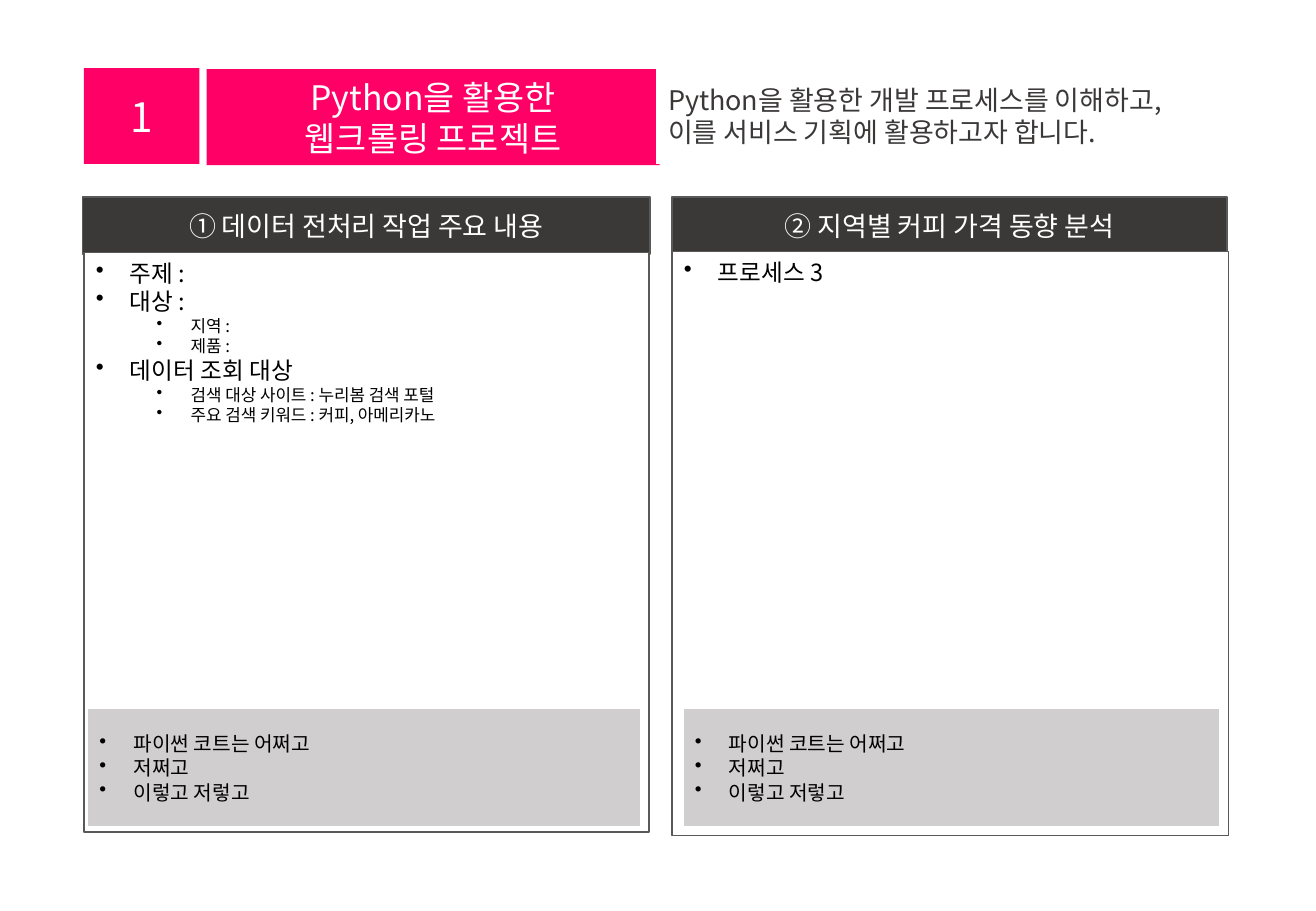
from dataclasses import dataclass

from lxml import etree
from pptx import Presentation
from pptx import util as u
from pptx.dml.color import RGBColor
from pptx.enum import shapes, text
from pptx.oxml.ns import qn


@dataclass(frozen=True)
class Theme:
    """Colours, type sizes and grid measures of the slide."""
    font: str = "Noto Sans CJK KR"
    accent: str = "FF0066"
    dark: str = "3B3838"
    border: str = "595959"
    note: str = "D0CECE"
    white: str = "FFFFFF"
    black: str = "000000"
    number: int = 24
    title: int = 20
    heading: int = 16
    topic: int = 14
    remark: int = 12
    detail: int = 10
    cell: float = 0.1  # inches per grid column and row
    hang: float = 2.8  # columns from bullet to text
    step: float = 5.0  # columns per bullet level


T = Theme()
LEFT, CENTER = text.PP_ALIGN.LEFT, text.PP_ALIGN.CENTER
TOP, MIDDLE = text.MSO_ANCHOR.TOP, text.MSO_ANCHOR.MIDDLE

HEADER_ROWS = (16.2, 4.7)
NOTE_ROWS = (58.3, 9.8)
NOTES = ["파이썬 코트는 어쩌고", "저쩌고", "이렇고 저렇고"]

# Spans are (first column, columns); body is (column, row, columns, rows).
PANELS = [
    dict(heading="① 데이터 전처리 작업 주요 내용",
         header=(6.8, 46.7), body=(6.9, 20.8, 46.5, 47.7), note=(7.2, 45.5),
         topics=[("주제 :", 0), ("대상 :", 0), ("지역 :", 1), ("제품 :", 1),
                 ("데이터 조회 대상", 0),
                 ("검색 대상 사이트 : 누리봄 검색 포털", 1),
                 ("주요 검색 키워드 : 커피, 아메리카노", 1)]),
    dict(heading="② 지역별 커피 가격 동향 분석",
         header=(55.3, 45.7), body=(55.3, 20.7, 45.8, 48.1), note=(56.2, 44.2),
         topics=[("프로세스 3", 0)]),
]


def grid(cells):
    """Turn a number of grid cells into a length."""
    return u.Inches(cells * T.cell)


def add_box(s, at, fill, line=None, anchor=MIDDLE):
    """Add a filled rectangle on the grid and return its text frame."""
    sp = s.shapes.add_shape(shapes.MSO_SHAPE.RECTANGLE, *map(grid, at))
    sp.shadow.inherit = False
    sp.fill.solid()
    sp.fill.fore_color.rgb = RGBColor.from_string(fill)
    if line:
        sp.line.color.rgb = RGBColor.from_string(line)
        sp.line.width = u.Pt(1)
    else:
        sp.line.fill.background()
    tf = sp.text_frame
    tf.word_wrap = True
    tf.vertical_anchor = anchor
    return tf


def add_line(tf, words, size, color, align=LEFT):
    """Write one paragraph, using the empty first one if it is free."""
    p = tf.paragraphs[0]
    if p.runs:
        p = tf.add_paragraph()
    p.add_run().text = words
    p.alignment = align
    p.font.size = u.Pt(size)
    p.font.color.rgb = RGBColor.from_string(color)
    p.font.name = T.font
    latin = p.font._element.find(qn("a:latin"))
    latin.addnext(etree.Element(qn("a:ea"), typeface=T.font))
    return p


def add_bullet(tf, words, size, level=0):
    """Write one bulleted paragraph with a hanging indent."""
    p = add_line(tf, words, size, T.black)
    pPr = p._p.get_or_add_pPr()
    pPr.set("marL", str(grid(T.hang + level * T.step)))
    pPr.set("indent", str(-grid(T.hang)))
    bullet = etree.Element(qn("a:buChar"), char="•")
    pPr.find(qn("a:defRPr")).addprevious(bullet)


def add_label(s, at, lines, size, fill, color=T.white, align=CENTER, line=None):
    """Add a box holding plain lines of one style."""
    tf = add_box(s, at, fill, line)
    for words in lines:
        add_line(tf, words, size, color, align)


def add_panel(s, heading, header, body, note, topics):
    """Add a headed panel with its topics and a grey note at the foot."""
    top, height = HEADER_ROWS
    add_label(s, (header[0], top, header[1], height), [heading],
              T.heading, T.dark, line=T.border)
    tf = add_box(s, body, T.white, T.border, TOP)
    for words, level in topics:
        add_bullet(tf, words, T.detail if level else T.topic, level)
    top, height = NOTE_ROWS
    tf = add_box(s, (note[0], top, note[1], height), T.note, T.white)
    for words in NOTES:
        add_bullet(tf, words, T.remark)


def main():
    """Build the slide and save it."""
    prs = Presentation()
    prs.slide_width, prs.slide_height = u.Inches(10.83), u.Inches(7.5)
    s = prs.slides.add_slide(prs.slide_layouts[6])
    add_label(s, (6.9, 5.6, 9.5, 7.9), ["1"], T.number, T.accent)
    add_label(s, (17, 5.7, 37.3, 7.9), ["Python을 활용한", "웹크롤링 프로젝트"],
              T.title, T.accent)
    add_label(s, (54, 5.6, 46.6, 7.9),
              ["Python을 활용한 개발 프로세스를 이해하고,",
               "이를 서비스 기획에 활용하고자 합니다."],
              T.heading, T.white, T.dark, LEFT)
    for panel in PANELS:
        add_panel(s, **panel)
    prs.save("out.pptx")


main()
